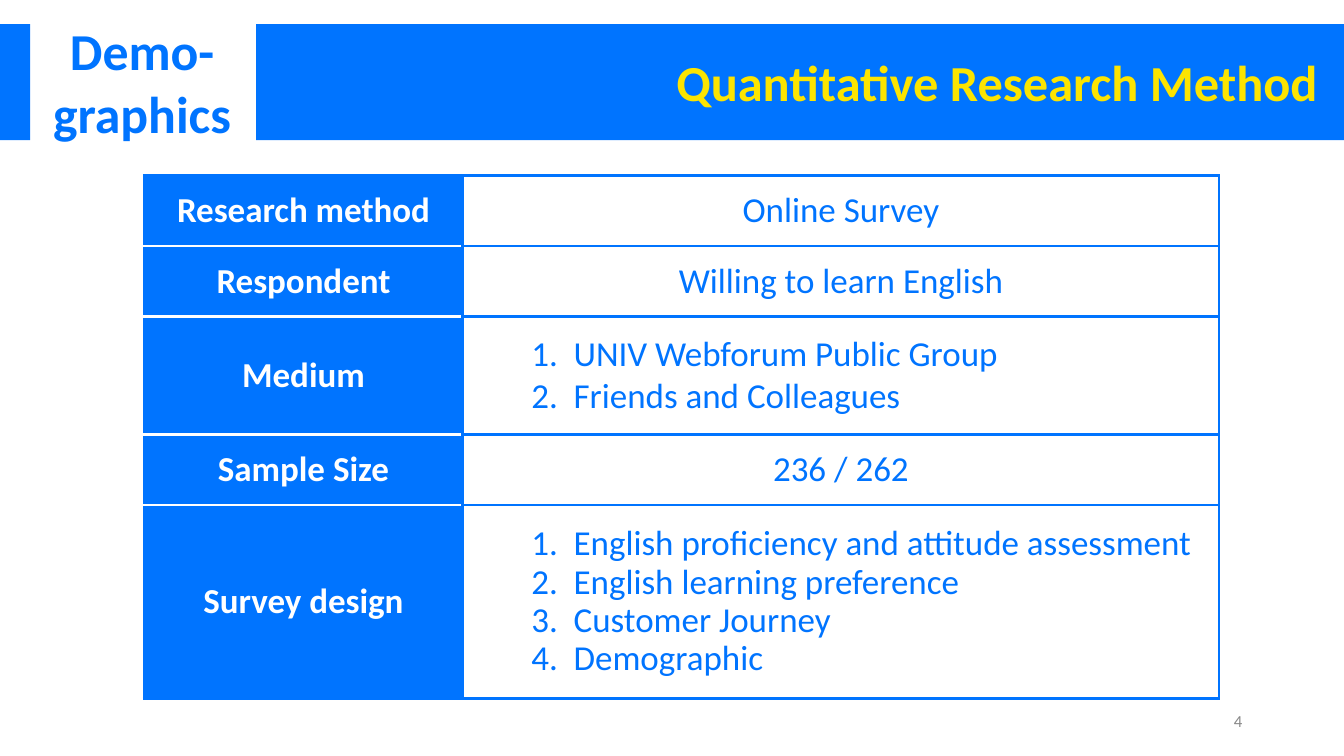
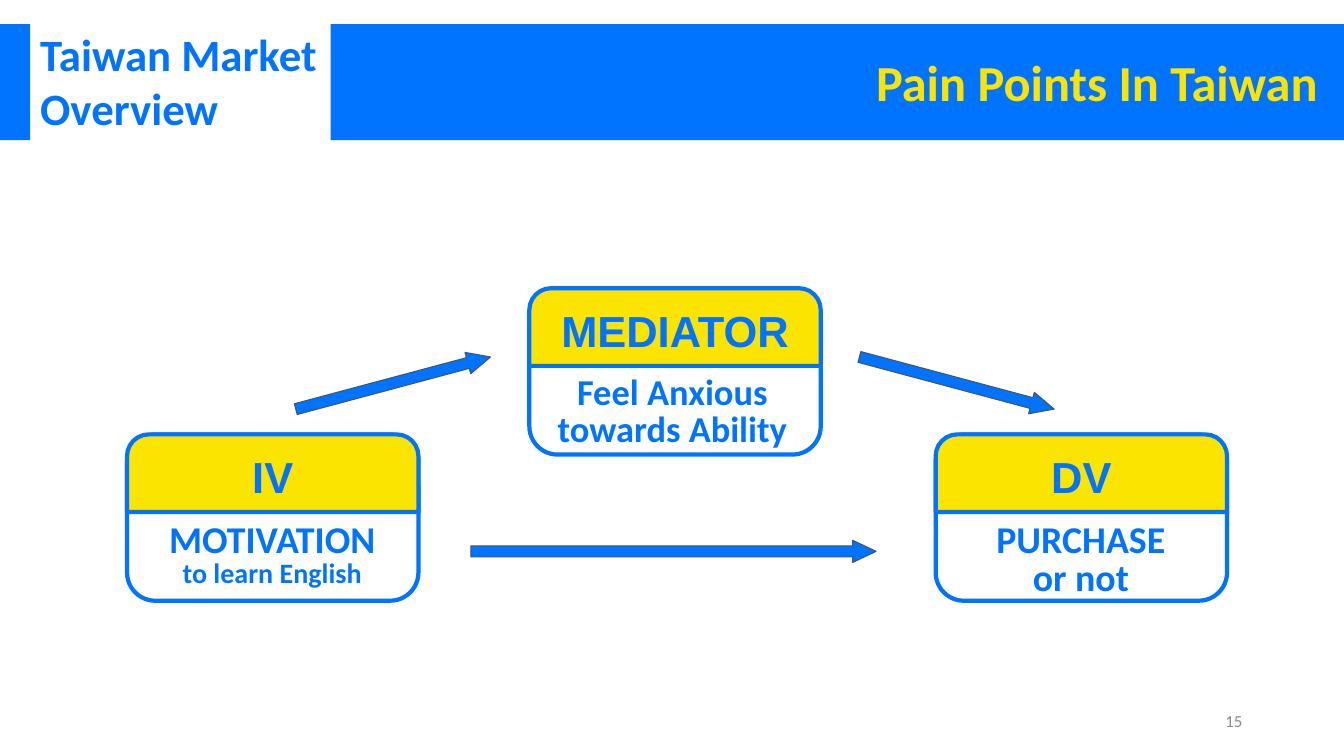
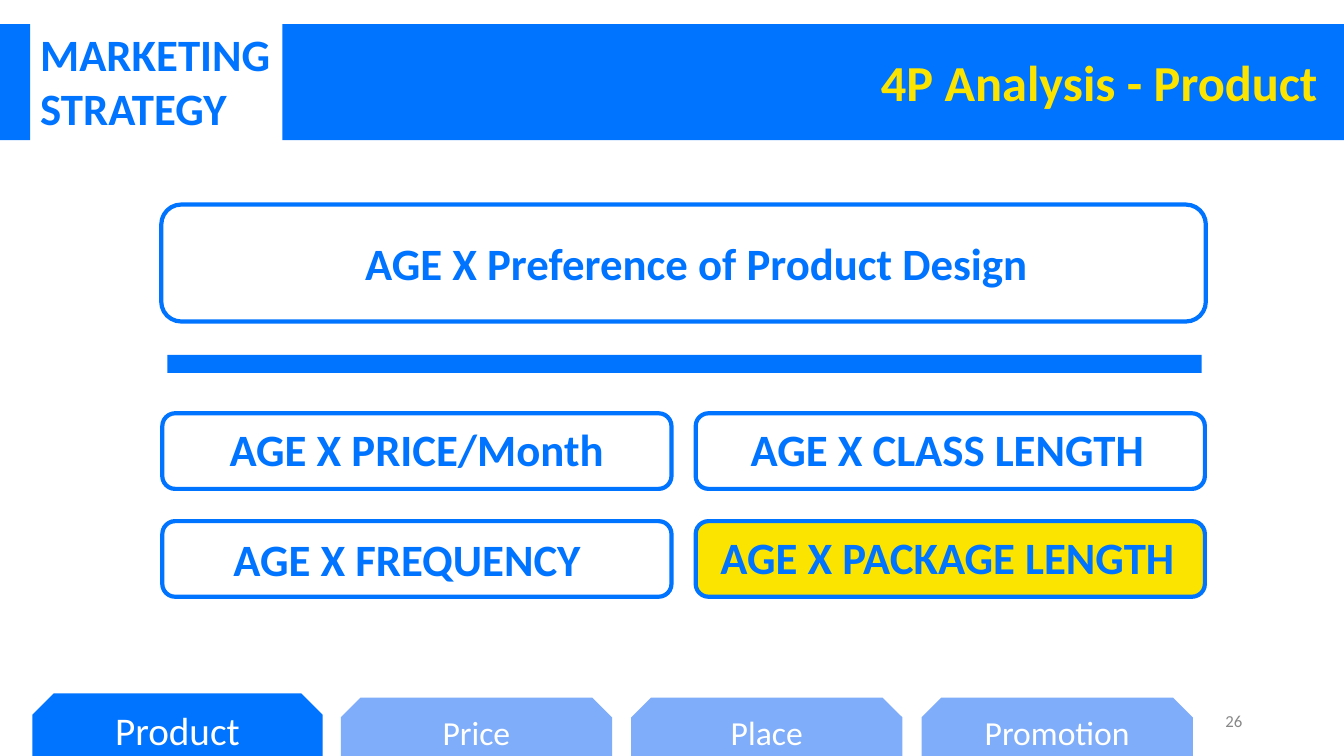
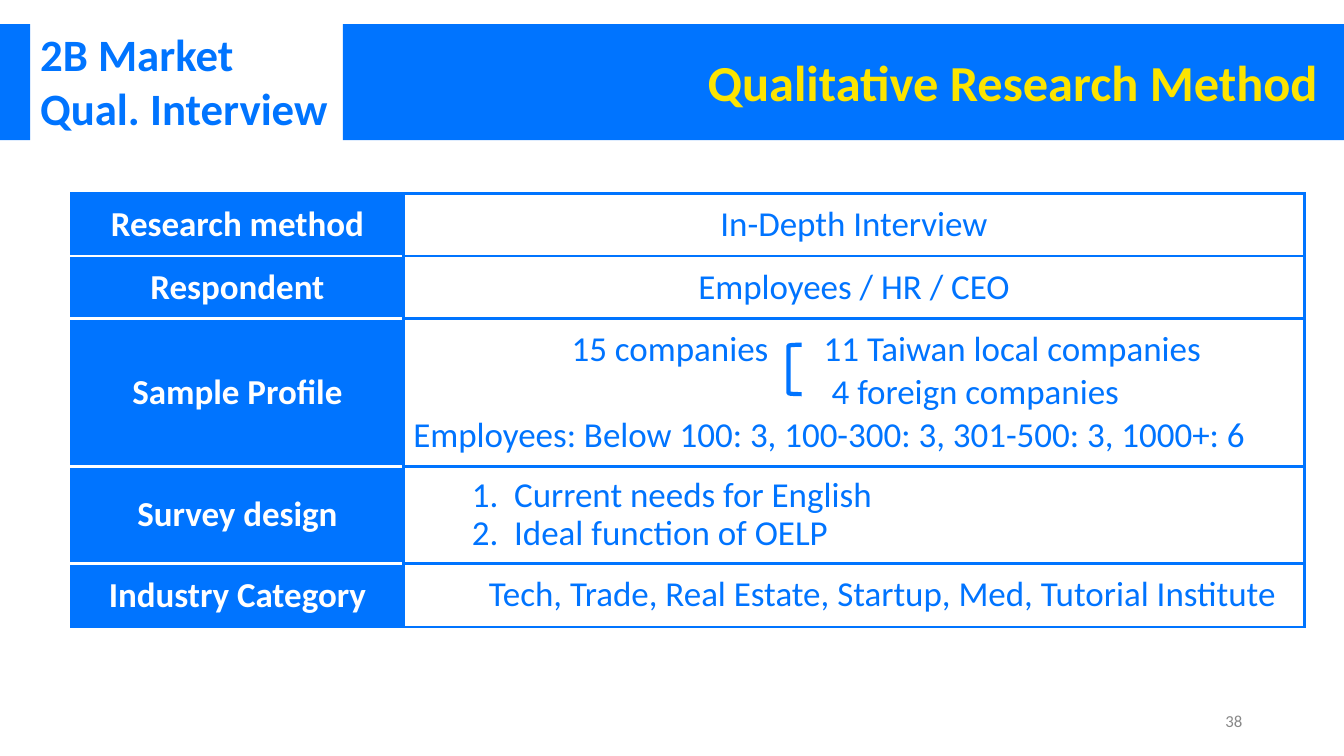
from dataclasses import dataclass

from lxml import etree
from pptx import Presentation
from pptx.dml.color import RGBColor
from pptx.enum.shapes import MSO_SHAPE
from pptx.enum.text import MSO_ANCHOR, PP_ALIGN
from pptx.oxml.ns import qn
from pptx.util import Pt

LEFT, CENTER, RIGHT = PP_ALIGN.LEFT, PP_ALIGN.CENTER, PP_ALIGN.RIGHT
TOP, MIDDLE = MSO_ANCHOR.TOP, MSO_ANCHOR.MIDDLE
RECTANGLE = MSO_SHAPE.RECTANGLE
ROUNDED = MSO_SHAPE.ROUNDED_RECTANGLE
ROUNDED_TOP = MSO_SHAPE.ROUND_2_SAME_RECTANGLE
SNIPPED_TOP = MSO_SHAPE.SNIP_2_SAME_RECTANGLE
ARROW = MSO_SHAPE.RIGHT_ARROW
BRACKET = MSO_SHAPE.LEFT_BRACKET
PX = 9144


@dataclass(frozen=True)
class Theme:
    blue: str = "0074FF"
    pale: str = "7FADFA"
    yellow: str = "FCE401"
    white: str = "FFFFFF"
    slate: str = "44546A"
    grey: str = "888888"
    font: str = "Calibri"
    head_font: str = "Arial"
    title: int = 36
    tag: int = 32
    large_tag: int = 37
    label: int = 32
    card_head: int = 31
    cell: int = 25
    number: int = 12
    outline: float = 3
    border: float = 2.25


theme = Theme()


def write(target, lines, size, color=theme.blue, bold=False, font=theme.font, align=CENTER,
          anchor=MIDDLE, margins=(10, 10, 10, 10), spacing=None, indent=0, hanging=0, tabs=()):
    frame = target.text_frame
    holder = frame if hasattr(frame, "word_wrap") and hasattr(target, "shape_id") else target
    if holder is frame:
        frame.word_wrap = True
    holder.vertical_anchor = anchor
    holder.margin_left, holder.margin_top, holder.margin_right, holder.margin_bottom = [
        side * PX for side in margins]
    for index, line in enumerate(lines):
        words, points = line if isinstance(line, tuple) else (line, size)
        para = frame.paragraphs[0] if index == 0 else frame.add_paragraph()
        para.alignment = align
        if spacing:
            para.line_spacing = spacing
        span = para.add_run()
        span.text = words
        span.font.name = font
        span.font.size = Pt(points)
        span.font.bold = bold
        span.font.color.rgb = RGBColor.from_string(color)
        props = para._p.get_or_add_pPr()
        if indent:
            props.set("marL", str(indent * PX))
            props.set("indent", str(-hanging * PX))
        if hanging:
            tint = etree.SubElement(props, qn("a:buClr"))
            etree.SubElement(tint, qn("a:srgbClr"), val=color)
            etree.SubElement(props, qn("a:buFont"), typeface=font)
            etree.SubElement(props, qn("a:buAutoNum"), type="arabicPeriod")
        if tabs:
            stops = etree.SubElement(props, qn("a:tabLst"))
            for stop in tabs:
                etree.SubElement(stops, qn("a:tab"), pos=str(stop * PX), algn="l")


def place(page, kind, left, top, width, height, fill=None, line=None, weight=theme.outline,
          adjust=(), turn=0):
    bounds = [length * PX for length in (left, top, width, height)]
    if kind is None:
        return page.shapes.add_textbox(*bounds)
    shape = page.shapes.add_shape(kind, *bounds)
    shape.shadow.inherit = False
    shape.rotation = turn
    for index, value in enumerate(adjust):
        shape.adjustments[index] = value
    if fill:
        shape.fill.solid()
        shape.fill.fore_color.rgb = RGBColor.from_string(fill)
    else:
        shape.fill.background()
    if line:
        shape.line.color.rgb = RGBColor.from_string(line)
        shape.line.width = Pt(weight)
    else:
        shape.line.fill.background()
    return shape


deck = Presentation()
deck.slide_width, deck.slide_height = 1333 * PX, 750 * PX

centered_tag = dict(size=theme.large_tag, align=CENTER)
left_tag = dict(size=theme.tag, align=LEFT)
headers = [
    ("Quantitative Research Method", ["Demo-", "graphics"], centered_tag, (29, 14, 224), 254, "4"),
    ("Pain Points In Taiwan", ["Taiwan Market Overview"], left_tag, (30, 22, 298), 328, "15"),
    ("4P Analysis - Product", ["MARKETING", "STRATEGY"], left_tag, (30, 22, 261), 280, "26"),
    ("Qualitative Research Method", ["2B Market", "Qual. Interview"], left_tag,
     (30, 22, 337), 340, "38"),
]
slim = (10, 5, 10, 5)
pages = []
for title, tag, tag_format, (left, top, width), band_left, number in headers:
    page = deck.slides.add_slide(deck.slide_layouts[6])
    pages.append(page)
    place(page, RECTANGLE, 0, 24, 30, 115, fill=theme.blue)
    place(page, RECTANGLE, band_left, 24, 1333 - band_left, 115, fill=theme.blue)
    box = place(page, None, left, top, width, 118)
    write(box, tag, bold=True, anchor=TOP, margins=slim, **tag_format)
    box = place(page, None, 561, 22, 756, 118)
    write(box, [title], theme.title, theme.yellow, bold=True, align=RIGHT, margins=slim)
    box = place(page, None, 942, 695, 300, 40)
    write(box, [number], theme.number, theme.grey, align=RIGHT, margins=slim)
quantitative, pain_points, product, qualitative = pages

numbered = dict(align=LEFT, indent=100, hanging=42)
tight = dict(numbered, spacing=0.9)
tables = [
    (quantitative, 143, 174, (316, 750), [
        (70, "Research method", [(["Online Survey"], {})]),
        (70, "Respondent", [(["Willing to learn English"], {})]),
        (117, "Medium", [(["UNIV Webforum Public Group", "Friends and Colleagues"], numbered)]),
        (70, "Sample Size", [(["236 / 262"], {})]),
        (192, "Survey design", [(["English proficiency and attitude assessment",
                                  "English learning preference", "Customer Journey",
                                  "Demographic"], tight)]),
    ]),
    (qualitative, 71, 192, (329, 894), [
        (62, "Research method", [(["In-Depth Interview"], {})]),
        (62, "Respondent", [(["Employees / HR / CEO"], {})]),
        (147, "Sample Profile", [(["\t15 companies\t11 Taiwan local companies",
                                   "\t\t 4 foreign companies",
                                   "Employees: Below 100: 3, 100-300: 3, 301-500: 3, 1000+: 6"],
                                  dict(align=LEFT, tabs=(157, 407)))]),
        (96, "Survey design", [(["Current needs for English", "Ideal function of OELP"], tight)]),
        (63, "Industry Category", [(["Tech, Trade, Real Estate, Startup, Med, Tutorial Institute"],
                                    dict(align=LEFT, indent=75, spacing=0.9))]),
    ]),
]
for page, left, top, widths, rows in tables:
    height = sum(row[0] for row in rows)
    table = page.shapes.add_table(len(rows), 2, left * PX, top * PX,
                                  sum(widths) * PX, height * PX).table
    table.first_row = table.horz_banding = False
    for column, width in zip(table.columns, widths):
        column.width = width * PX
    for index, (row_height, heading, content) in enumerate(rows):
        table.rows[index].height = row_height * PX
        head, body = table.cell(index, 0), table.cell(index, 1)
        head.fill.solid()
        head.fill.fore_color.rgb = RGBColor.from_string(theme.blue)
        body.fill.background()
        write(head, [heading], theme.cell, theme.white, bold=True)
        for lines, text_format in content:
            write(body, lines, theme.cell, **text_format)
        above = theme.white if index else theme.blue
        below = theme.white if index < len(rows) - 1 else theme.blue
        for cell, upper, lower in ((head, above, below), (body, theme.blue, theme.blue)):
            props = cell._tc.get_or_add_tcPr()
            sides = (("a:lnL", theme.blue), ("a:lnR", theme.blue), ("a:lnT", upper),
                     ("a:lnB", lower))
            for order, (side, color) in enumerate(sides):
                edge = etree.Element(qn(side), w=str(Pt(theme.border)))
                solid = etree.SubElement(edge, qn("a:solidFill"))
                etree.SubElement(solid, qn("a:srgbClr"), val=color)
                props.insert(order, edge)
place(qualitative, BRACKET, 782, 342, 13, 49, line=theme.blue, adjust=(0.08,))

cards = [
    (525, 286, 519, "MEDIATOR", ["Feel Anxious", "towards Ability"], 26),
    (126, 431, 122, "IV", ["MOTIVATION", ("to learn English", 20)], 27),
    (928, 431, 924, "DV", ["PURCHASE", "or not"], 27),
]
for left, top, text_left, heading, lines, size in cards:
    place(pain_points, ROUNDED, left, top, 289, 165, line=theme.blue, adjust=(0.17,))
    head = place(pain_points, ROUNDED_TOP, left, top, 289, 77, fill=theme.yellow,
                 line=theme.blue, adjust=(0.28, 0))
    write(head, [heading], theme.card_head, bold=True, font=theme.head_font)
    box = place(pain_points, None, text_left, top + 77, 296, 88)
    write(box, lines, size, bold=True, anchor=TOP, spacing=0.85)
for left, top, width, turn in ((467, 536, 402, 0), (290, 369, 200, 345), (849, 369, 200, 15)):
    place(pain_points, ARROW, left, top, width, 22, fill=theme.blue, line=theme.slate,
          weight=0.75, adjust=(0.5, 1.06), turn=turn)

options = [
    (160, 203, 1036, 116, "AGE X Preference of Product Design", None, (36, 10, 10, 10)),
    (161, 410, 505, 75, "AGE X PRICE/Month", None, (10, 10, 10, 15)),
    (690, 410, 505, 75, "AGE X CLASS LENGTH", None, (10, 10, 15, 15)),
    (161, 517, 505, 75, "AGE X FREQUENCY", None, (10, 10, 29, 10)),
    (690, 517, 505, 75, "AGE X PACKAGE LENGTH", theme.yellow, (10, 10, 15, 15)),
]
for left, top, width, height, label, fill, margins in options:
    shape = place(product, ROUNDED, left, top, width, height, fill=fill, line=theme.blue,
                  adjust=(0.17,))
    write(shape, [label], theme.label, bold=True, margins=margins)
place(product, RECTANGLE, 166, 352, 1026, 18, fill=theme.blue)

for index, label in enumerate(("Product", "Price", "Place", "Promotion")):
    if index == 0:
        bounds, fill, size = (32, 688, 288, 62), theme.blue, 28
    else:
        bounds, fill, size = (50 + 288 * index, 692, 269, 58), theme.pale, 24
    tab = place(product, SNIPPED_TOP, *bounds, fill=fill, adjust=(0.34, 0))
    write(tab, [label], size, theme.white, margins=slim)

deck.save("out.pptx")
